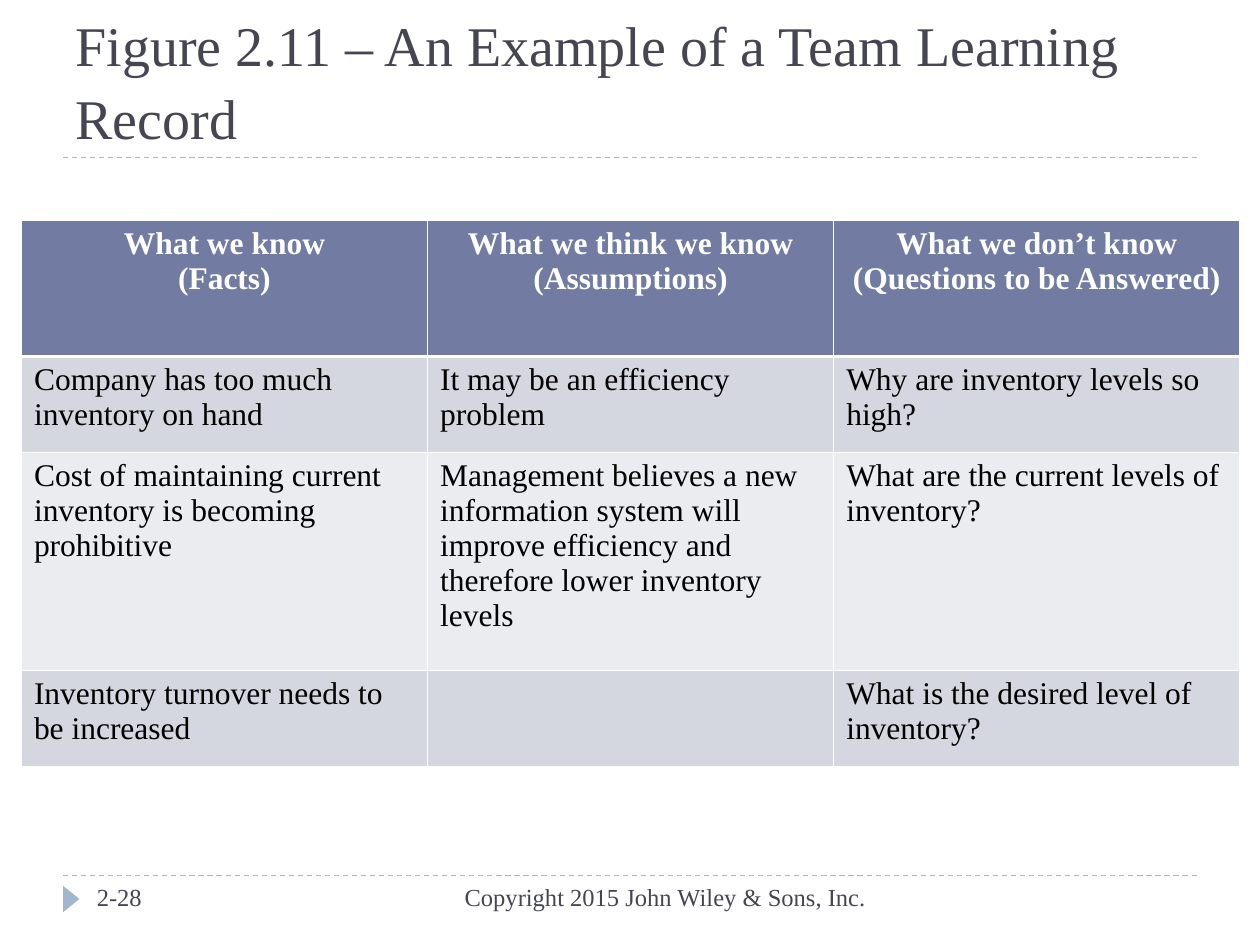
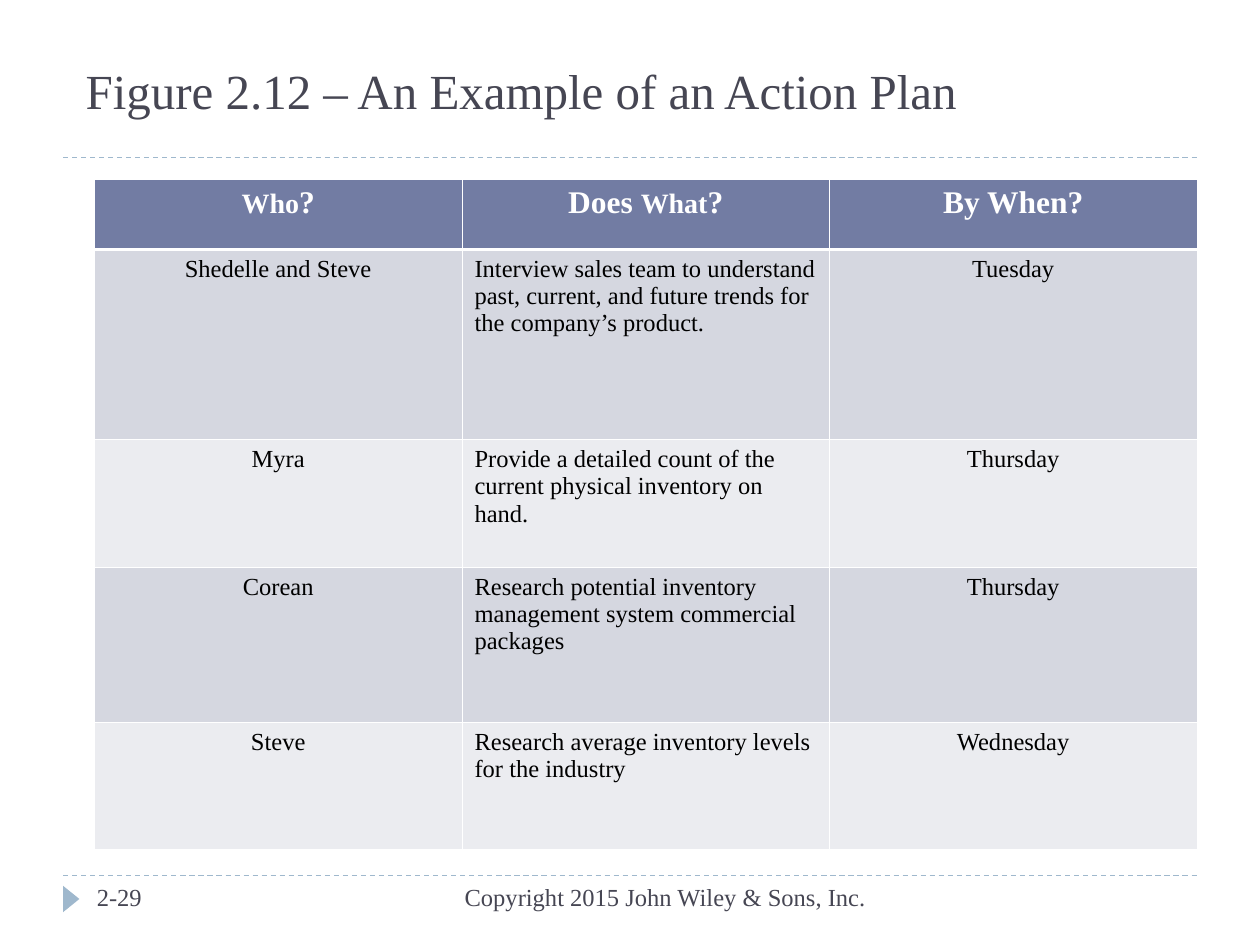
from lxml import etree
from pptx import Presentation
from pptx.dml.color import RGBColor
from pptx.enum.dml import MSO_LINE
from pptx.enum.shapes import MSO_CONNECTOR, MSO_SHAPE
from pptx.enum.text import MSO_ANCHOR, MSO_AUTO_SIZE, PP_ALIGN
from pptx.oxml.ns import qn
from pptx.util import Inches, Pt

LEFT, CENTER, RIGHT = PP_ALIGN.LEFT, PP_ALIGN.CENTER, PP_ALIGN.RIGHT
STRAIGHT, TRIANGLE = MSO_CONNECTOR.STRAIGHT, MSO_SHAPE.ISOSCELES_TRIANGLE
DASH, BOTTOM, NO_FIT = MSO_LINE.DASH, MSO_ANCHOR.BOTTOM, MSO_AUTO_SIZE.NONE

FONT = "Times New Roman"
INK = RGBColor(0x46, 0x46, 0x53)
ACCENT = RGBColor(0x9F, 0xB8, 0xCD)
HEADER = RGBColor(0x72, 0x7C, 0xA3)
BANDS = RGBColor(0xD5, 0xD7, 0xE0), RGBColor(0xEB, 0xEC, 0xF0)
WHITE = RGBColor(0xFF, 0xFF, 0xFF)
BLACK = RGBColor(0, 0, 0)

THIN, THICK = Pt(0.45), Pt(1.47)
RULES_Y = 1.25, 6.95
COPYRIGHT = "Copyright 2015 John Wiley & Sons, Inc."

# A header cell is a list of paragraphs; a paragraph is a list of (text, size) runs.
SLIDES = [
    dict(
        title="Figure 2.11 – An Example of a Team Learning Record",
        title_at=(0.5, 0.25), title_size=32, number="2-28",
        table_at=(0.17, 1.75), width=9.67, heights=[1.08, 0.76, 1.73, 0.76],
        body_size=18, aligns=[LEFT, LEFT, LEFT],
        header=[
            [[("What we know", 18)], [("(Facts)", 18)]],
            [[("What we think we know", 18)], [("(Assumptions)", 18)]],
            [[("What we don’t know", 18)], [("(Questions to be Answered)", 18)]],
        ],
        rows=[
            ("Company has too much inventory on hand",
             "It may be an efficiency problem",
             "Why are inventory levels so high?"),
            ("Cost of maintaining current inventory is becoming prohibitive",
             "Management believes a new information system will improve "
             "efficiency and therefore lower inventory levels",
             "What are the current levels of inventory?"),
            ("Inventory turnover needs to be increased",
             "",
             "What is the desired level of inventory?"),
        ],
    ),
    dict(
        title="Figure 2.12 – An Example of an Action Plan",
        title_at=(0.58, 0), title_size=28, number="2-29",
        table_at=(0.75, 1.42), width=8.75, heights=[0.56, 1.51, 1.01, 1.23, 1.01],
        body_size=14, aligns=[CENTER, LEFT, CENTER],
        header=[
            [[("Who", 16), ("?", 18)]],
            [[("Does ", 18), ("What", 16), ("?", 18)]],
            [[("By When?", 18)]],
        ],
        rows=[
            ("Shedelle and Steve",
             "Interview sales team to understand past, current, and future "
             "trends for the company’s product.",
             "Tuesday"),
            ("Myra",
             "Provide a detailed count of the current physical inventory on hand.",
             "Thursday"),
            ("Corean",
             "Research potential inventory management system commercial packages",
             "Thursday"),
            ("Steve",
             "Research average inventory levels for the industry",
             "Wednesday"),
        ],
    ),
]


def write(tf, paragraphs, color=INK, bold=False, align=LEFT, spacing=None):
    """Fill a text frame with paragraphs, each a list of (text, size) runs."""
    tf.word_wrap = True
    for i, runs in enumerate(paragraphs):
        p = tf.paragraphs[0] if i == 0 else tf.add_paragraph()
        p.alignment = align
        if spacing:
            p.line_spacing = spacing
        for text, size in runs:
            r = p.add_run()
            r.text = text
            r.font.name, r.font.size = FONT, Pt(size)
            r.font.bold, r.font.color.rgb = bold, color


def add_title(s, text, at, size):
    title = s.shapes.title
    title.left, title.top = map(Inches, at)
    title.width, title.height = Inches(9), Inches(1)
    tf = title.text_frame
    tf.auto_size, tf.vertical_anchor = NO_FIT, BOTTOM
    write(tf, [[(text, size)]], spacing=1.1)


def add_frame(s, number):
    """Draw the two dashed rules, the page marker and the footer."""
    for y in RULES_Y:
        rule = s.shapes.add_connector(
            STRAIGHT, Inches(0.5), Inches(y), Inches(9.5), Inches(y))
        rule.line.color.rgb, rule.line.width = ACCENT, Pt(0.75)
        rule.line.dash_style = DASH
        etree.SubElement(rule._element.spPr, qn("a:effectLst"))
    marker = s.shapes.add_shape(
        TRIANGLE, Inches(0.46), Inches(7.07), Inches(0.21), Inches(0.13))
    marker.rotation = 90
    marker.shadow.inherit = False
    marker.fill.solid()
    marker.fill.fore_color.rgb = ACCENT
    marker.line.fill.background()
    for text, x, width, align in ((number, 0.67, 2.17, LEFT),
                                  (COPYRIGHT, 3.17, 3.8, RIGHT)):
        box = s.shapes.add_textbox(
            Inches(x), Inches(6.95), Inches(width), Inches(0.4))
        write(box.text_frame, [[(text, 14)]], align=align)


def style_cell(cell, fill, top, bottom):
    tc_pr = cell._tc.get_or_add_tcPr()
    for side, width in (("L", THIN), ("R", THIN), ("T", top), ("B", bottom)):
        ln = etree.SubElement(tc_pr, qn("a:ln" + side), w=str(int(width)))
        solid = etree.SubElement(ln, qn("a:solidFill"))
        etree.SubElement(solid, qn("a:srgbClr"), val=str(WHITE))
    cell.fill.solid()
    cell.fill.fore_color.rgb = fill


def add_grid(s, at, width, heights, header, rows, body_size, aligns):
    x, y = at
    table = s.shapes.add_table(
        len(heights), len(header), Inches(x), Inches(y),
        Inches(width), Inches(sum(heights))).table
    for column in table.columns:
        column.width = Inches(width / len(header))
    for row, height in zip(table.rows, heights):
        row.height = Inches(height)
    for c, paragraphs in enumerate(header):
        cell = table.cell(0, c)
        style_cell(cell, HEADER, THIN, THICK)
        write(cell.text_frame, paragraphs, color=WHITE, bold=True, align=CENTER)
    for i, row in enumerate(rows):
        for c, text in enumerate(row):
            cell = table.cell(i + 1, c)
            style_cell(cell, BANDS[i % 2], THIN if i else THICK, THIN)
            if text:
                write(cell.text_frame, [[(text, body_size)]],
                      color=BLACK, align=aligns[c])


def main():
    prs = Presentation()
    prs.slide_width, prs.slide_height = Inches(10), Inches(7.5)
    for d in SLIDES:
        s = prs.slides.add_slide(prs.slide_layouts[5])
        add_title(s, d["title"], d["title_at"], d["title_size"])
        add_frame(s, d["number"])
        add_grid(s, d["table_at"], d["width"], d["heights"], d["header"],
                 d["rows"], d["body_size"], d["aligns"])
    prs.save("out.pptx")


if __name__ == "__main__":
    main()
